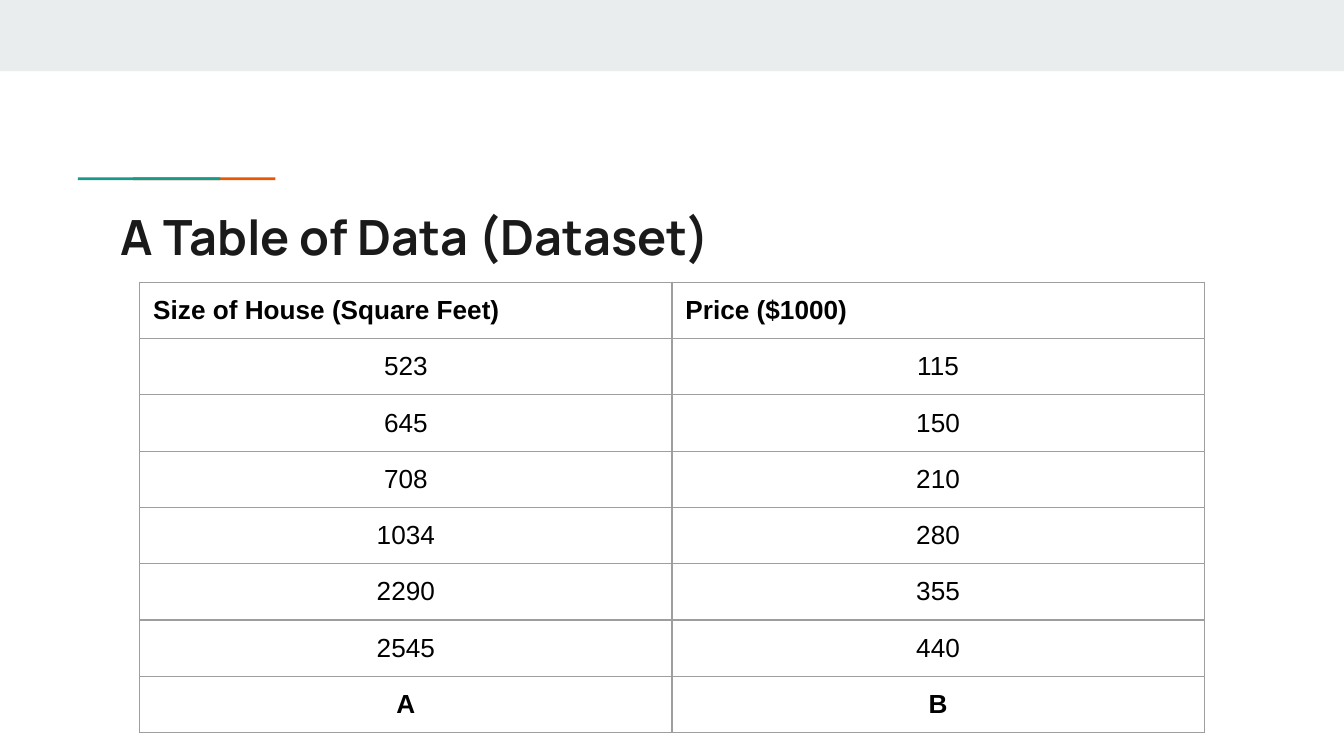
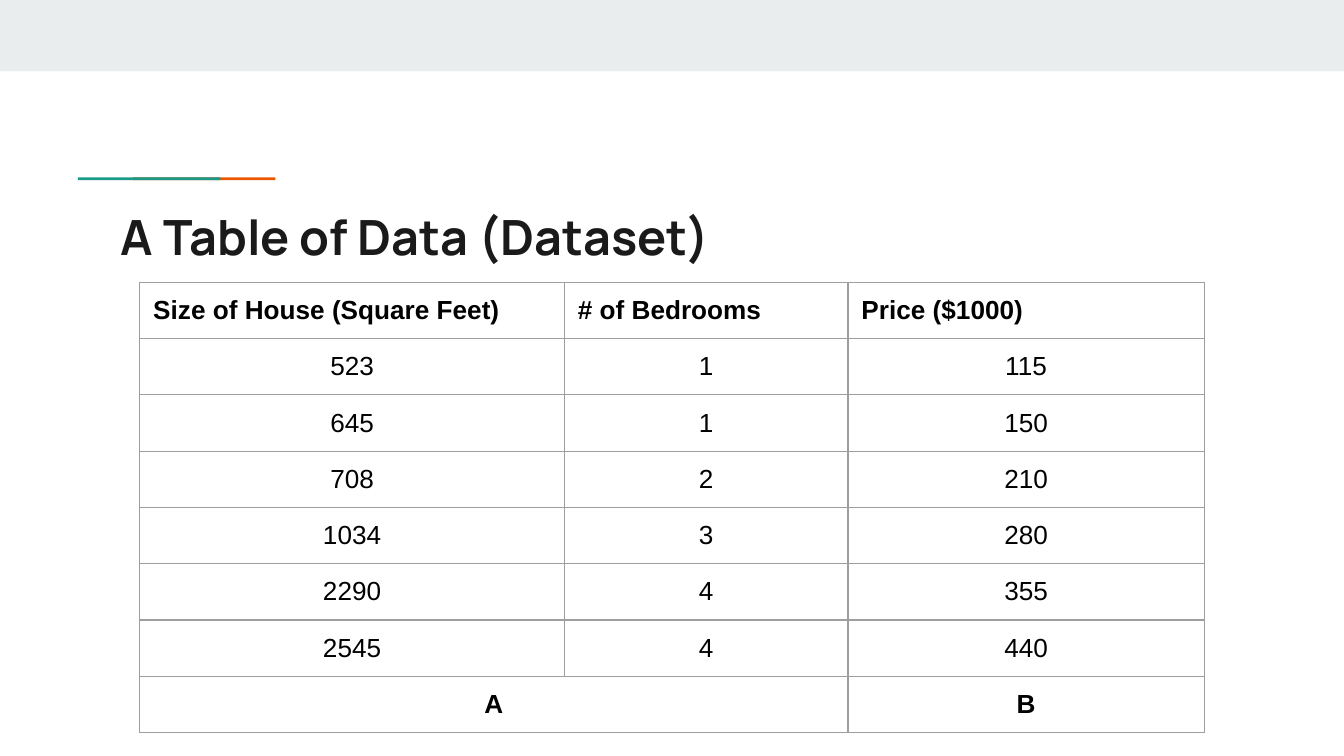
import pptx
import pptx.dml.color
import pptx.enum.shapes
import pptx.enum.text
import pptx.oxml
import pptx.oxml.ns
import pptx.util

Inches = pptx.util.Inches
Pt = pptx.util.Pt
ALIGN = pptx.enum.text.PP_ALIGN
ANCHOR = pptx.enum.text.MSO_ANCHOR


def color(hex_string):
    return pptx.dml.color.RGBColor.from_string(hex_string)


def write(tf, text, font="Arial", size=14, fill="000000", bold=False, align=ALIGN.LEFT):
    p = tf.paragraphs[0]
    p.alignment = align
    r = p.add_run()
    r.text = text
    r.font.name = font
    r.font.size = Pt(size)
    r.font.color.rgb = color(fill)
    r.font.bold = bold


def set_insets(target):
    target.margin_left = target.margin_right = Inches(0.1)
    target.margin_top = target.margin_bottom = Inches(0.1)


def set_borders(cell, fill, width):
    tcPr = cell._tc.get_or_add_tcPr()
    for side in ("lnL", "lnR", "lnT", "lnB"):
        tcPr.append(pptx.oxml.parse_xml(
            f'<a:{side} {pptx.oxml.ns.nsdecls("a")} w="{Pt(width)}">'
            f'<a:solidFill><a:srgbClr val="{fill}"/></a:solidFill></a:{side}>'))


class Deck:
    BAND = "E9EDEE"
    ORANGE = "EB5600"
    TEAL = "1A9988"
    TITLE = "1A1A1A"
    GRID = "9E9E9E"

    def __init__(self):
        self.prs = pptx.Presentation()
        self.prs.slide_width = Inches(10)
        self.prs.slide_height = Inches(10) * 9 // 16
        self.slide = None

    def add_slide(self, title):
        self.slide = self.prs.slides.add_slide(self.prs.slide_layouts[5])
        bg = self.slide.background.fill
        bg.solid()
        bg.fore_color.rgb = color("FFFFFF")
        self.rect(0, 0, 10, 0.53, self.BAND)
        self.rect(0.99, 1.32, 1.06, 0.02, self.ORANGE)
        self.rect(0.58, 1.32, 1.06, 0.02, self.TEAL)
        self.title(title)

    def rect(self, left, top, width, height, fill):
        sp = self.slide.shapes.add_shape(
            pptx.enum.shapes.MSO_SHAPE.RECTANGLE,
            Inches(left), Inches(top), Inches(width), Inches(height))
        sp.shadow.inherit = False
        sp.fill.solid()
        sp.fill.fore_color.rgb = color(fill)
        sp.line.fill.background()

    def title(self, text):
        sp = self.slide.shapes.title
        sp.left, sp.top = Inches(0.8), Inches(1.44)
        sp.width, sp.height = Inches(8.41), Inches(0.59)
        tf = sp.text_frame
        tf.word_wrap = True
        tf.auto_size = pptx.enum.text.MSO_AUTO_SIZE.NONE
        tf.vertical_anchor = ANCHOR.TOP
        set_insets(tf)
        write(tf, text, font="Manrope", size=26, fill=self.TITLE, bold=True)

    def table(self, rows, widths, height=3.34):
        table = self.slide.shapes.add_table(
            len(rows), len(widths), Inches(1.04), Inches(2.1),
            Inches(sum(widths)), Inches(height)).table
        table.first_row = table.horz_banding = False
        for column, width in zip(table.columns, widths):
            column.width = Inches(width)
        last = len(rows) - 1
        for i, values in enumerate(rows):
            table.rows[i].height = Inches(height / len(rows))
            for j, value in enumerate(values):
                cell = table.cell(i, j)
                set_insets(cell)
                set_borders(cell, self.GRID, 0.75)
                cell.fill.background()
                if value is None:
                    table.cell(i, j - 1).merge(cell)
                else:
                    write(cell.text_frame, str(value), bold=i in (0, last),
                          align=ALIGN.CENTER if i else ALIGN.LEFT)


def main():
    title = "A Table of Data (Dataset)"
    size, bedrooms, price = "Size of House (Square Feet)", "# of Bedrooms", "Price ($1000)"
    houses = [(523, 1, 115), (645, 1, 150), (708, 2, 210),
              (1034, 3, 280), (2290, 4, 355), (2545, 4, 440)]

    deck = Deck()
    deck.add_slide(title)
    deck.table([(size, price), *((feet, cost) for feet, _, cost in houses), ("A", "B")],
               [3.96, 3.96])
    deck.add_slide(title)
    deck.table([(size, bedrooms, price), *houses, ("A", None, "B")], [3.16, 2.11, 2.65])
    deck.prs.save("out.pptx")


if __name__ == "__main__":
    main()
